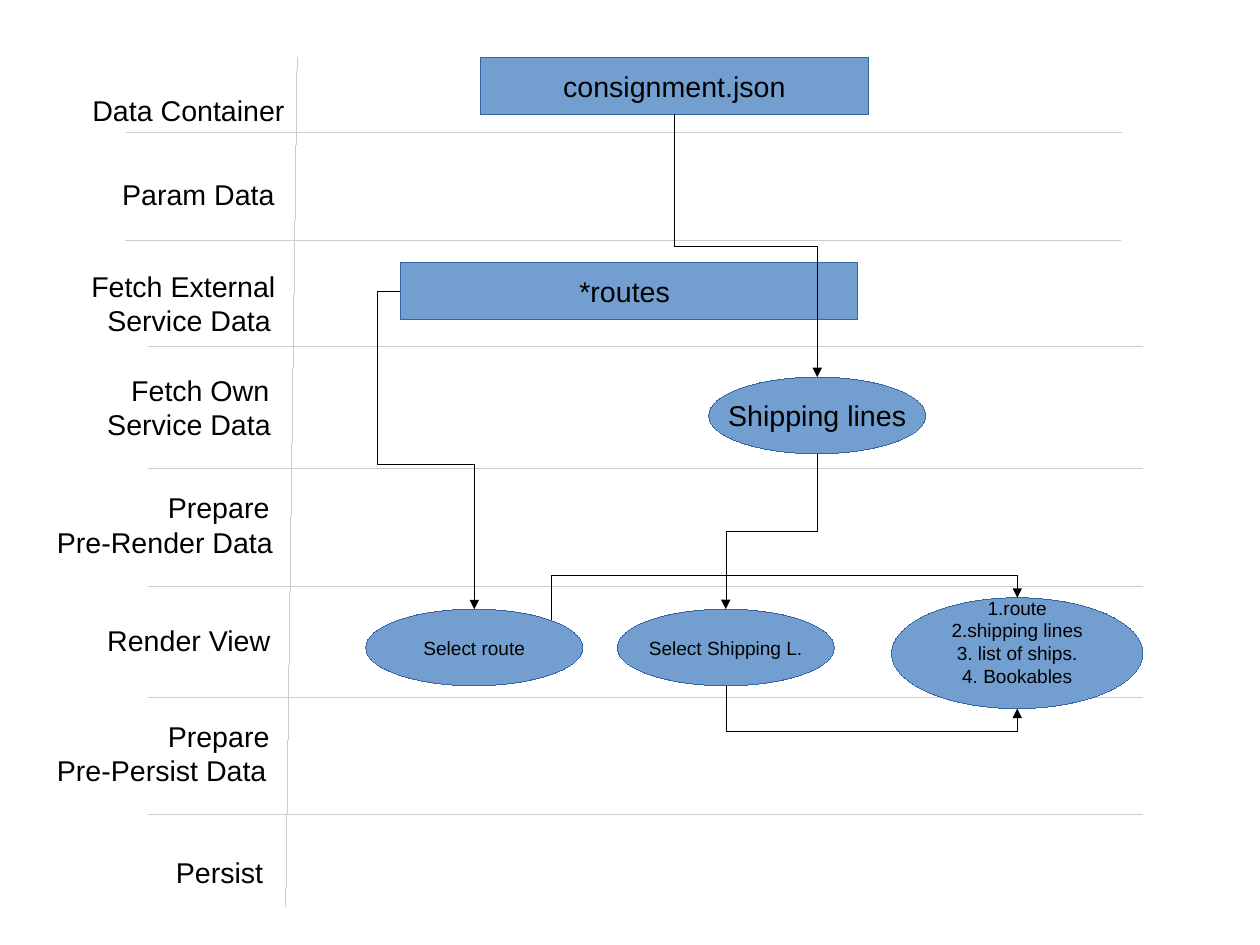
from lxml import etree
from pptx import Presentation
from pptx.dml.color import RGBColor
from pptx.enum import shapes, text
from pptx.oxml import ns
from pptx.util import Inches, Pt

BLACK = RGBColor(0x00, 0x00, 0x00)
GREY = RGBColor(0xCC, 0xCC, 0xCC)
BLUE = RGBColor(0x72, 0x9F, 0xCF)
DARK_BLUE = RGBColor(0x34, 0x65, 0xA4)
FONT = "Arial"
CM_PER_INCH = 2.54
RECTANGLE = shapes.MSO_SHAPE.RECTANGLE
OVAL = shapes.MSO_SHAPE.OVAL

# Left end and height of each line between two stages
STAGE_LINES = [(1.11, 1.16), (1.1, 2.1), (1.3, 3.03), (1.3, 4.1),
               (1.3, 5.13), (1.3, 6.1), (1.3, 7.13)]
STAGE_LINE_LENGTH = 8.7

# Left, top, width, and the lines of text with their indents
STAGE_LABELS = [
    (0.57, 0.76, 2.1, [("Data Container", 0.14)]),
    (0.97, 1.5, 1.55, [("Param Data", 0)]),
    (0.7, 2.3, 1.88, [("Fetch External", 0), ("Service Data", 0.14)]),
    (0.7, 3.21, 1.83, [("Fetch Own", 0.35), ("Service Data", 0.14)]),
    (0.4, 4.24, 2.1, [("Prepare", 0.97), ("Pre-Render Data", 0)]),
    (0.84, 5.4, 1.7, [("Render View", 0)]),
    (0.4, 6.24, 2.1, [("Prepare", 0.97), ("Pre-Persist Data", 0)]),
    (1.44, 7.43, 1.05, [("Persist", 0)]),
]

# Kind, left, top, width, height, font size, lines of text
NODES = [
    (RECTANGLE, 4.2, 0.5, 3.4, 0.5, 18, ["consignment.json"]),
    (RECTANGLE, 3.5, 2.3, 4, 0.5, 18, ["*routes "]),
    (OVAL, 6.2, 3.3, 1.9, 0.67, 18, ["Shipping lines"]),
    (OVAL, 3.2, 5.33, 1.9, 0.67, 12, ["Select route"]),
    (OVAL, 5.4, 5.33, 1.9, 0.67, 12, ["Select Shipping L."]),
]
RESULT_LINES = ["1.route", "2.shipping lines", "3. list of ships.", "4. Bookables"]

FLOWS = [
    [(5.9, 1), (5.9, 2.15), (7.15, 2.15), (7.15, 3.3)],
    [(3.5, 2.55), (3.3, 2.55), (3.3, 4.06), (4.15, 4.06), (4.15, 5.33)],
    [(7.15, 3.97), (7.15, 4.65), (6.35, 4.65), (6.35, 5.33)],
    [(4.82, 5.42), (4.82, 5.03), (8.9, 5.03), (8.9, 5.23)],
    [(6.35, 6), (6.35, 6.4), (8.9, 6.4), (8.9, 6.2)],
]


def write(frame, lines, size=18, align=text.PP_ALIGN.LEFT, color=BLACK):
    """Fill a text frame with (wording, indent in inches) pairs."""
    for number, (wording, indent) in enumerate(lines):
        para = frame.add_paragraph() if number else frame.paragraphs[0]
        para.alignment = align
        if indent:
            para._p.get_or_add_pPr().set("marL", str(Inches(indent)))
        span = para.add_run()
        span.text = wording
        span.font.name = FONT
        span.font.size = Pt(size)
        span.font.color.rgb = color


def set_hairline(shape, color):
    """Give the thinnest line; the theme style would override a zero width."""
    shape._element.remove(shape._element.find(ns.qn("p:style")))
    shape.line.color.rgb = color
    shape.line.width = Pt(0)


def add_divider(page, left, top, right, bottom):
    divider = page.shapes.add_connector(
        shapes.MSO_CONNECTOR.STRAIGHT,
        Inches(left), Inches(top), Inches(right), Inches(bottom))
    set_hairline(divider, GREY)
    etree.SubElement(divider._element.spPr, ns.qn("a:effectLst"))


def add_label(page, left, top, width, lines):
    height = 0.1 + 0.28 * len(lines)
    box = page.shapes.add_textbox(
        Inches(left), Inches(top), Inches(width), Inches(height))
    box.text_frame.word_wrap = True
    write(box.text_frame, lines)


def add_node(page, kind, left, top, width, height, size, lines):
    node = page.shapes.add_shape(
        kind, Inches(left), Inches(top), Inches(width), Inches(height))
    node.shadow.inherit = False
    node.fill.solid()
    node.fill.fore_color.rgb = BLUE
    set_hairline(node, DARK_BLUE)
    frame = node.text_frame
    frame.word_wrap = False
    frame.vertical_anchor = text.MSO_ANCHOR.MIDDLE
    write(frame, [(line, 0) for line in lines], size=size,
          align=text.PP_ALIGN.CENTER)
    return node


def add_flow(page, points):
    """Draw one bent line through the points, with an arrowhead at the end."""
    start, *corners = [(Inches(x), Inches(y)) for x, y in points]
    builder = page.shapes.build_freeform(*start)
    builder.add_line_segments(corners, close=False)
    flow = builder.convert_to_shape()
    flow.shadow.inherit = False
    flow.fill.background()
    set_hairline(flow, BLACK)
    etree.SubElement(flow.line._get_or_add_ln(), ns.qn("a:tailEnd"), type="triangle")


def main():
    deck = Presentation()
    deck.slide_width = Inches(28 / CM_PER_INCH)
    deck.slide_height = Inches(21 / CM_PER_INCH)
    page = deck.slides.add_slide(deck.slide_layouts[6])

    for left, height in STAGE_LINES:
        add_divider(page, left, height, left + STAGE_LINE_LENGTH, height)
    add_divider(page, 2.6, 0.5, 2.5, 7.93)
    for label in STAGE_LABELS:
        add_label(page, *label)
    for node in NODES:
        add_node(page, *node)
    result = add_node(page, OVAL, 7.8, 5.23, 2.2, 0.97, 12, RESULT_LINES)
    result.text_frame.margin_bottom = Inches(0.25)
    for points in FLOWS:
        add_flow(page, points)

    deck.save("out.pptx")


if __name__ == "__main__":
    main()
